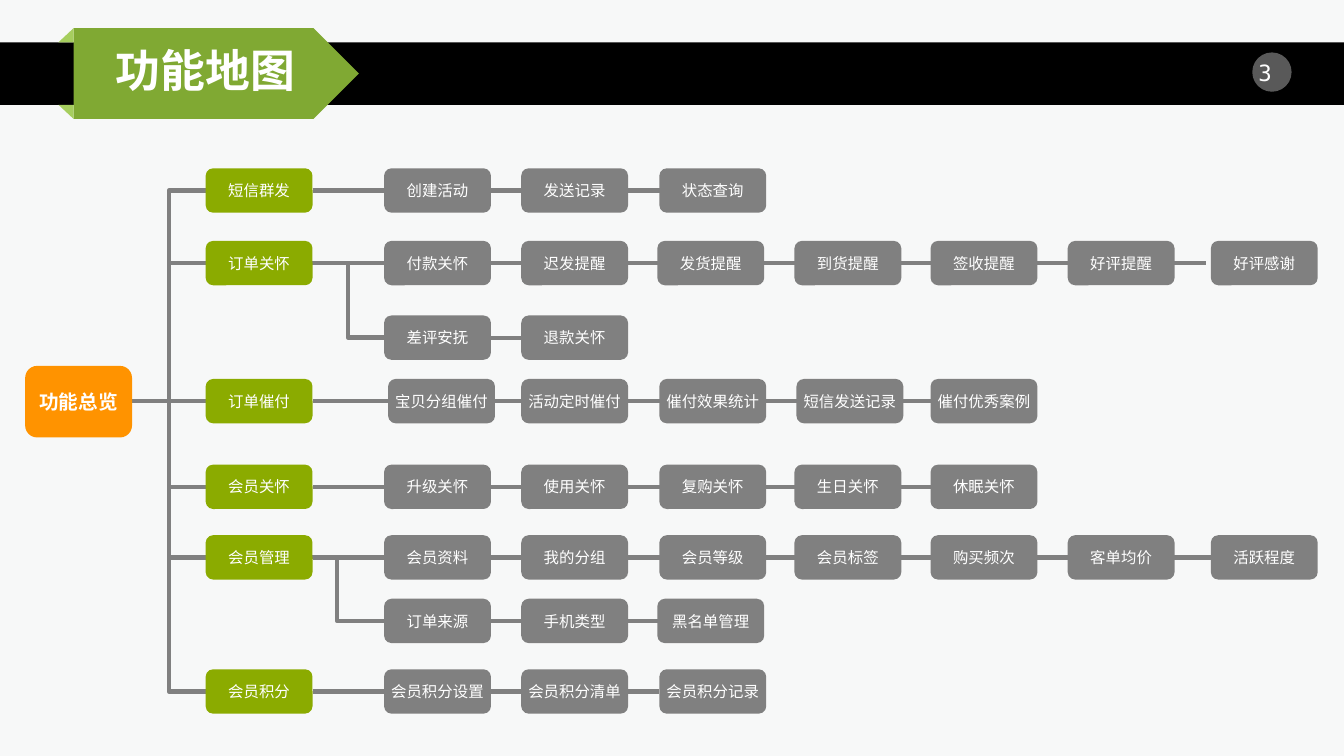
import pptx
import pptx.util
import pptx.dml.color
import pptx.enum.shapes
import pptx.enum.text
import pptx.oxml
import pptx.oxml.ns
from lxml import etree

Inches = pptx.util.Inches
RGBColor = pptx.dml.color.RGBColor
SHAPE = pptx.enum.shapes.MSO_SHAPE
LINK = pptx.enum.shapes.MSO_CONNECTOR
TEXT = pptx.enum.text

PAPER = RGBColor(0xF7, 0xF8, 0xF8)
BLACK = RGBColor(0x00, 0x00, 0x00)
WHITE = RGBColor(0xFF, 0xFF, 0xFF)
GRAY = RGBColor(0x80, 0x80, 0x80)
RIBBON = RGBColor(0x80, 0xA9, 0x33)
FOLD = RGBColor(0xA6, 0xCE, 0x5E)
LIME = RGBColor(0x8B, 0xAB, 0x00)
ORANGE = RGBColor(0xFF, 0x93, 0x00)
CJK = "Noto Sans CJK SC"

BOX_W, BOX_H = 1.06, 0.44
ROOT_RIGHT, ROOT_Y = 1.31, 3.98
GROUP_X = 2.04
GROUP_RIGHT = GROUP_X + BOX_W
COLUMNS = [3.81, 5.17, 6.54, 7.88, 9.23, 10.59, 12.01]
NUDGED = {"宝贝分组催付": 3.85, "短信发送记录": 7.9, "发货提醒": 6.52, "黑名单管理": 6.52}

# group, middle of the row, right end of its line, features
GROUPS = [
    ("短信群发", 1.89, 7.6, ["创建活动", "发送记录", "状态查询"]),
    ("订单关怀", 2.61, 11.96, ["付款关怀", "迟发提醒", "发货提醒", "到货提醒",
                           "签收提醒", "好评提醒", "好评感谢"]),
    ("订单催付", 3.98, 9.38, ["宝贝分组催付", "活动定时催付", "催付效果统计",
                          "短信发送记录", "催付优秀案例"]),
    ("会员关怀", 4.83, 9.31, ["升级关怀", "使用关怀", "复购关怀", "生日关怀", "休眠关怀"]),
    ("会员管理", 5.53, 12.02, ["会员资料", "我的分组", "会员等级", "会员标签",
                           "购买频次", "客单均价", "活跃程度"]),
    ("会员积分", 6.86, 6.54, ["会员积分设置", "会员积分清单", "会员积分记录"]),
]
# start x, parent row, middle of the row, right end of its line, features
BRANCHES = [
    (3.09, 2.61, 3.35, 5.17, ["差评安抚", "退款关怀"]),
    (2.87, 5.53, 6.16, 6.62, ["订单来源", "手机类型", "黑名单管理"]),
]

deck = pptx.Presentation()
deck.slide_width, deck.slide_height = Inches(13.33), Inches(7.5)
page = deck.slides.add_slide(deck.slide_layouts[6])
page.background.fill.solid()
page.background.fill.fore_color.rgb = PAPER


def add_block(kind, left, top, width, height, color, label="", size=11, bold=False):
    """Add a borderless filled shape, with a centred label if one is given."""
    block = page.shapes.add_shape(kind, Inches(left), Inches(top), Inches(width), Inches(height))
    block.shadow.inherit = False
    block.fill.solid()
    block.fill.fore_color.rgb = color
    block.line.fill.background()
    if label:
        frame = block.text_frame
        frame.margin_left = frame.margin_right = frame.margin_top = frame.margin_bottom = 0
        frame.vertical_anchor = TEXT.MSO_ANCHOR.MIDDLE
        write(frame, label, size, CJK, bold)
    return block


def write(frame, label, size, font, bold=False):
    para = frame.paragraphs[0]
    para.alignment = TEXT.PP_ALIGN.CENTER
    span = para.add_run()
    span.text = label
    span.font.size = pptx.util.Pt(size)
    span.font.name = font
    span.font.bold = bold
    span.font.color.rgb = WHITE
    east_asian = etree.SubElement(span.font._element, pptx.oxml.ns.qn("a:ea"))
    east_asian.set("typeface", font)


# Header band, ribbon and page number
add_block(SHAPE.RECTANGLE, 0, 0.42, 13.33, 0.62, BLACK)
add_block(SHAPE.PENTAGON, 0.73, 0.28, 2.83, 0.9, RIBBON)
for fold_top, flips in [(0.28, ["flipH"]), (1.04, ["flipH", "flipV"])]:
    fold = add_block(SHAPE.RIGHT_TRIANGLE, 0.58, fold_top, 0.15, 0.14, FOLD)
    for flip in flips:
        fold._element.spPr.xfrm.set(flip, "1")
badge = add_block(SHAPE.OVAL, 12.42, 0.52, 0.39, 0.39, WHITE)
badge_color = badge._element.spPr.find(".//" + pptx.oxml.ns.qn("a:srgbClr"))
etree.SubElement(badge_color, pptx.oxml.ns.qn("a:alpha")).set("val", "35000")

for label, left, top, width, height, size, font, bold, wrap in [
    ("3 ", 12.26, 0.54, 0.71, 0.37, 16, "DejaVu Sans Mono", False, True),
    ("功能地图", 1.04, 0.37, 2, 0.64, 32, CJK, True, False),
]:
    box = page.shapes.add_textbox(Inches(left), Inches(top), Inches(width), Inches(height))
    box.text_frame.word_wrap = wrap
    box.text_frame.auto_size = TEXT.MSO_AUTO_SIZE.SHAPE_TO_FIT_TEXT
    write(box.text_frame, label, size, font, bold)

# Lines lie behind the boxes
links = []
for group, row_y, line_end, features in GROUPS:
    links.append((LINK.ELBOW, ROOT_RIGHT, ROOT_Y, GROUP_X, row_y))
    links.append((LINK.STRAIGHT, GROUP_RIGHT, row_y, line_end, row_y))
for start_x, parent_y, row_y, line_end, features in BRANCHES:
    links.append((LINK.ELBOW, start_x, parent_y, COLUMNS[0], row_y))
    links.append((LINK.STRAIGHT, COLUMNS[0], row_y, line_end, row_y))
for kind, x1, y1, x2, y2 in links:
    link = page.shapes.add_connector(kind, Inches(x1), Inches(y1), Inches(x2), Inches(y2))
    link.line.color.rgb = GRAY
    link.line.width = pptx.util.Pt(3)
    etree.SubElement(link._element.spPr, pptx.oxml.ns.qn("a:effectLst"))

# Root, groups and features
add_block(SHAPE.ROUNDED_RECTANGLE, 0.25, 3.63, BOX_W, 0.71, ORANGE, "功能总览", 14, True)
for group, row_y, line_end, features in GROUPS:
    add_block(SHAPE.ROUNDED_RECTANGLE, GROUP_X, row_y - BOX_H / 2, BOX_W, BOX_H, LIME, group)
for *start, row_y, line_end, features in GROUPS + BRANCHES:
    for column_x, feature in zip(COLUMNS, features):
        add_block(SHAPE.ROUNDED_RECTANGLE, NUDGED.get(feature, column_x), row_y - BOX_H / 2,
                  BOX_W, BOX_H, GRAY, feature)

deck.save("out.pptx")
